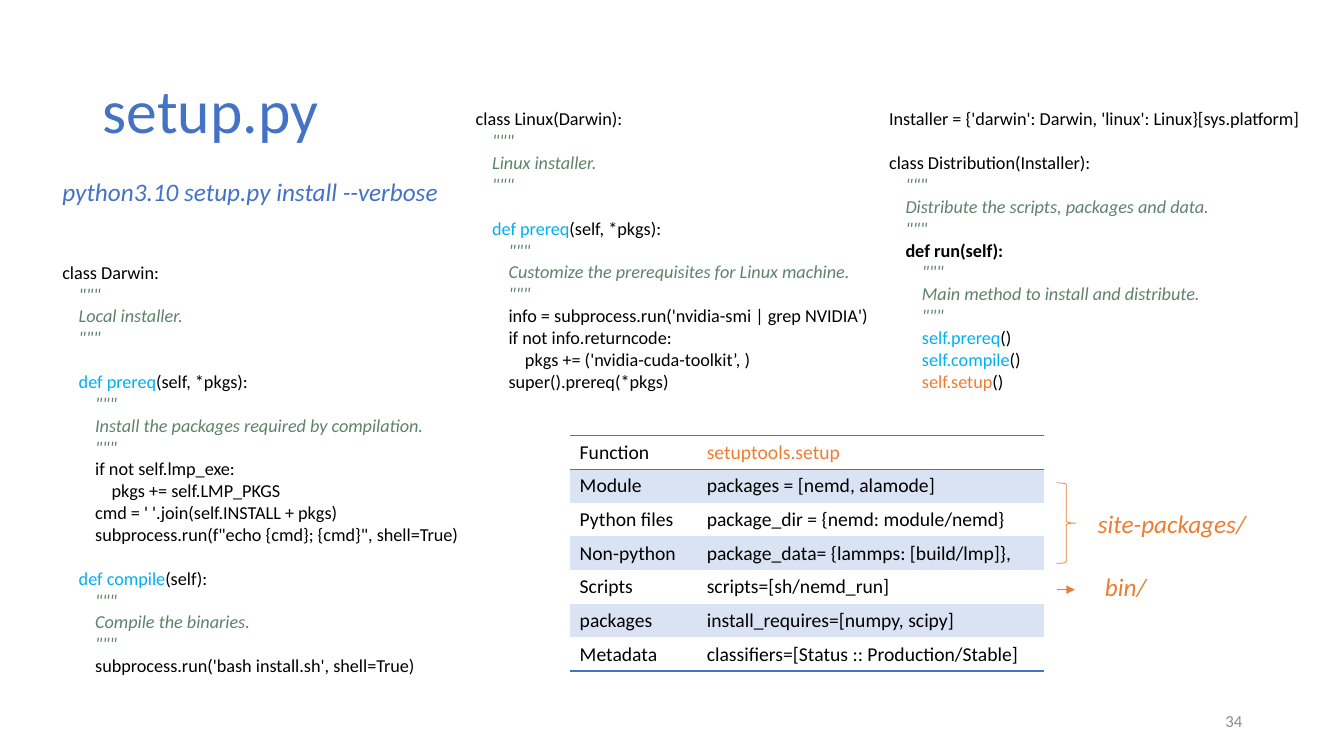
"""Build the slide that explains setup.py with code, a table and its targets."""
from dataclasses import dataclass

from lxml import etree
from pptx import Presentation
from pptx.dml.color import RGBColor
from pptx.enum.shapes import MSO_CONNECTOR, MSO_SHAPE
from pptx.enum.text import MSO_ANCHOR, PP_ALIGN
from pptx.oxml.ns import qn
from pptx.slide import Slide
from pptx.table import _Cell
from pptx.text.text import Font, TextFrame
from pptx.util import Inches, Pt

STRAIGHT = MSO_CONNECTOR.STRAIGHT
BRACE = MSO_SHAPE.RIGHT_BRACE
MIDDLE = MSO_ANCHOR.MIDDLE
LEFT, RIGHT = PP_ALIGN.LEFT, PP_ALIGN.RIGHT

BLACK, BLUE, ORANGE = "000000", "4472C4", "ED7D31"
GREEN, CYAN, GREY, BAND = "5F826B", "00B0F0", "8C8C8C", "DAE3F3"
PLAIN_TABLE = "{2D5ABB26-0587-4C30-8999-92F81FD0307C}"
CODE_SIZE = 13
BLANK_LINE = 15.6


@dataclass(frozen=True)
class Span:
    text: str
    color: str = BLACK
    bold: bool = False
    italic: bool = False


@dataclass(frozen=True)
class CodeLine:
    level: int
    spans: tuple[Span, ...]
    gap: bool = False


@dataclass(frozen=True)
class CodeColumn:
    left: float
    top: float
    height: float
    lines: list[CodeLine]


@dataclass(frozen=True)
class Label:
    text: str
    left: float
    top: float
    width: float
    color: str
    size: int = 18
    italic: bool = True
    align: PP_ALIGN = LEFT


def code(level: int, text: str, gap: bool = False) -> CodeLine:
    """Return a plain line of code."""
    return CodeLine(level, (Span(text),), gap)


def call(level: int, name: str, rest: str, gap: bool = False,
         color: str = CYAN) -> CodeLine:
    """Return a line whose name is coloured."""
    return CodeLine(level, (Span(name, color), Span(rest)), gap)


def docstring(level: int, text: str) -> list[CodeLine]:
    """Return the three lines of a docstring."""
    return [CodeLine(level, (Span(part, GREEN, italic=True),))
            for part in ('"""', text, '"""')]


DARWIN = [
    code(0, "class Darwin:"),
    *docstring(1, "Local installer."),
    call(1, "def prereq", "(self, *pkgs):", gap=True),
    *docstring(2, "Install the packages required by compilation."),
    code(2, "if not self.lmp_exe:"),
    code(3, "pkgs += self.LMP_PKGS"),
    code(2, "cmd = ' '.join(self.INSTALL + pkgs)"),
    code(2, 'subprocess.run(f"echo {cmd}; {cmd}", shell=True)'),
    call(1, "def compile", "(self):", gap=True),
    *docstring(2, "Compile the binaries."),
    code(2, "subprocess.run('bash install.sh', shell=True)"),
]
LINUX = [
    code(0, "class Linux(Darwin):"),
    *docstring(1, "Linux installer."),
    call(1, "def prereq", "(self, *pkgs):", gap=True),
    *docstring(2, "Customize the prerequisites for Linux machine."),
    code(2, "info = subprocess.run('nvidia-smi | grep NVIDIA')"),
    code(2, "if not info.returncode:"),
    code(3, "pkgs += ('nvidia-cuda-toolkit’, )"),
    code(2, "super().prereq(*pkgs)"),
]
DISTRIBUTION = [
    code(0, "Installer = {'darwin': Darwin, 'linux': Linux}[sys.platform]"),
    code(0, "class Distribution(Installer):", gap=True),
    *docstring(1, "Distribute the scripts, packages and data."),
    CodeLine(1, (Span("def run(self):", bold=True),)),
    *docstring(2, "Main method to install and distribute."),
    call(2, "self.prereq", "()"),
    call(2, "self.compile", "()"),
    call(2, "self.setup", "()", color=ORANGE),
]
COLUMNS = [
    CodeColumn(0.52, 2.54, 4.3, DARWIN),
    CodeColumn(4.62, 1.02, 3, LINUX),
    CodeColumn(8.72, 1.02, 3, DISTRIBUTION),
]
LABELS = [
    Label("python3.10 setup.py install --verbose", 0.52, 1.7, 4.25, BLUE),
    Label("site-packages/", 10.79, 4.99, 1.76, ORANGE),
    Label("bin/", 10.86, 5.62, 1.62, ORANGE),
    Label("34", 9.42, 6.95, 3, GREY, 12, False, RIGHT),
]
ROWS = [
    ("Function", "setuptools.setup"),
    ("Module", "packages = [nemd, alamode]"),
    ("Python files", "package_dir = {nemd: module/nemd}"),
    ("Non-python", "package_data= {lammps: [build/lmp]},"),
    ("Scripts", "scripts=[sh/nemd_run]"),
    ("packages", "install_requires=[numpy, scipy]"),
    ("Metadata", "classifiers=[Status :: Production/Stable]"),
]


def rgb(color: str) -> RGBColor:
    """Return the colour of a hex string."""
    return RGBColor.from_string(color)


def format_font(font: Font, size: float, color: str, bold: bool = False,
                italic: bool = False) -> None:
    """Apply the deck's typeface and the given format."""
    values = {"name": "Calibri", "size": Pt(size), "bold": bold, "italic": italic}
    for name, value in values.items():
        setattr(font, name, value)
    font.color.rgb = rgb(color)


def add_box(slide: Slide, left: float, top: float, width: float,
            height: float) -> TextFrame:
    """Add a wrapping text box and return its frame."""
    box = slide.shapes.add_textbox(*map(Inches, (left, top, width, height)))
    box.text_frame.word_wrap = True
    return box.text_frame


def add_title(slide: Slide) -> None:
    """Fill and place the title placeholder."""
    title = slide.shapes.title
    place = {"left": 0.92, "top": 0.4, "width": 4.49, "height": 1.45}
    for name, value in place.items():
        setattr(title, name, Inches(value))
    title.text_frame.text = "setup.py"
    title.text_frame.vertical_anchor = MIDDLE
    para = title.text_frame.paragraphs[0]
    para.alignment, para.line_spacing = LEFT, 0.9
    format_font(para.runs[0].font, 44, BLUE)


def add_code(slide: Slide, column: CodeColumn) -> None:
    """Add one column of coloured code."""
    frame = add_box(slide, column.left, column.top, 4.2, column.height)
    frame.margin_right = 0
    for index, line in enumerate(column.lines):
        para = frame.add_paragraph() if index else frame.paragraphs[0]
        if line.gap:
            para.space_before = Pt(BLANK_LINE)
        for place, span in enumerate(line.spans):
            run = para.add_run()
            run.text = span.text if place else "    " * line.level + span.text
            format_font(run.font, CODE_SIZE, span.color, span.bold, span.italic)


def add_label(slide: Slide, label: Label) -> None:
    """Add a one-line label."""
    frame = add_box(slide, label.left, label.top, label.width, 0.4)
    frame.vertical_anchor = MIDDLE
    para = frame.paragraphs[0]
    para.alignment = label.align
    run = para.add_run()
    run.text = label.text
    format_font(run.font, label.size, label.color, italic=label.italic)


def add_border(cell: _Cell, side: str) -> None:
    """Draw a thin blue border on one side of a cell."""
    properties = cell._tc.get_or_add_tcPr()
    line = etree.SubElement(properties, qn(f"a:{side}"), w=str(Pt(1)))
    fill = etree.SubElement(line, qn("a:solidFill"))
    etree.SubElement(fill, qn("a:srgbClr"), val=BLUE)


def add_functions(slide: Slide) -> None:
    """Add the table of setup arguments."""
    place = map(Inches, (5.65, 4.32, 4.7, 2.31))
    table = slide.shapes.add_table(len(ROWS), 2, *place).table
    table._tbl.tblPr.find(qn("a:tableStyleId")).text = PLAIN_TABLE
    table.first_row = table.horz_banding = False
    for column, width in zip(table.columns, (1.26, 3.44)):
        column.width = Inches(width)
    for row, texts in enumerate(ROWS):
        table.rows[row].height = Inches(0.33)
        for column, text in enumerate(texts):
            cell = table.cell(row, column)
            cell.text = text
            color = ORANGE if (row, column) == (0, 1) else BLACK
            format_font(cell.text_frame.paragraphs[0].runs[0].font, 14, color)
            if row == 0:
                add_border(cell, "lnT")
            if row in (0, len(ROWS) - 1):
                add_border(cell, "lnB")
            if row % 2:
                cell.fill.solid()
                cell.fill.fore_color.rgb = rgb(BAND)
            else:
                cell.fill.background()


def add_pointers(slide: Slide) -> None:
    """Add the brace and the arrow beside the table."""
    brace = slide.shapes.add_shape(BRACE, *map(Inches, (10.48, 4.79, 0.19, 0.8)))
    brace.shadow.inherit = False
    brace.fill.background()
    ends = map(Inches, (10.48, 5.85, 10.66, 5.85))
    arrow = slide.shapes.add_connector(STRAIGHT, *ends)
    for shape in (brace, arrow):
        shape.line.color.rgb = rgb(ORANGE)
        shape.line.width = Pt(0.5)
    etree.SubElement(arrow.line._get_or_add_ln(), qn("a:tailEnd"), type="triangle")
    etree.SubElement(arrow._element.spPr, qn("a:effectLst"))


def main() -> None:
    """Build and save the deck."""
    deck = Presentation()
    deck.slide_width, deck.slide_height = Inches(13.33), Inches(7.5)
    slide = deck.slides.add_slide(deck.slide_layouts[5])
    add_title(slide)
    for column in COLUMNS:
        add_code(slide, column)
    add_functions(slide)
    add_pointers(slide)
    for label in LABELS:
        add_label(slide, label)
    deck.save("out.pptx")


if __name__ == "__main__":
    main()
